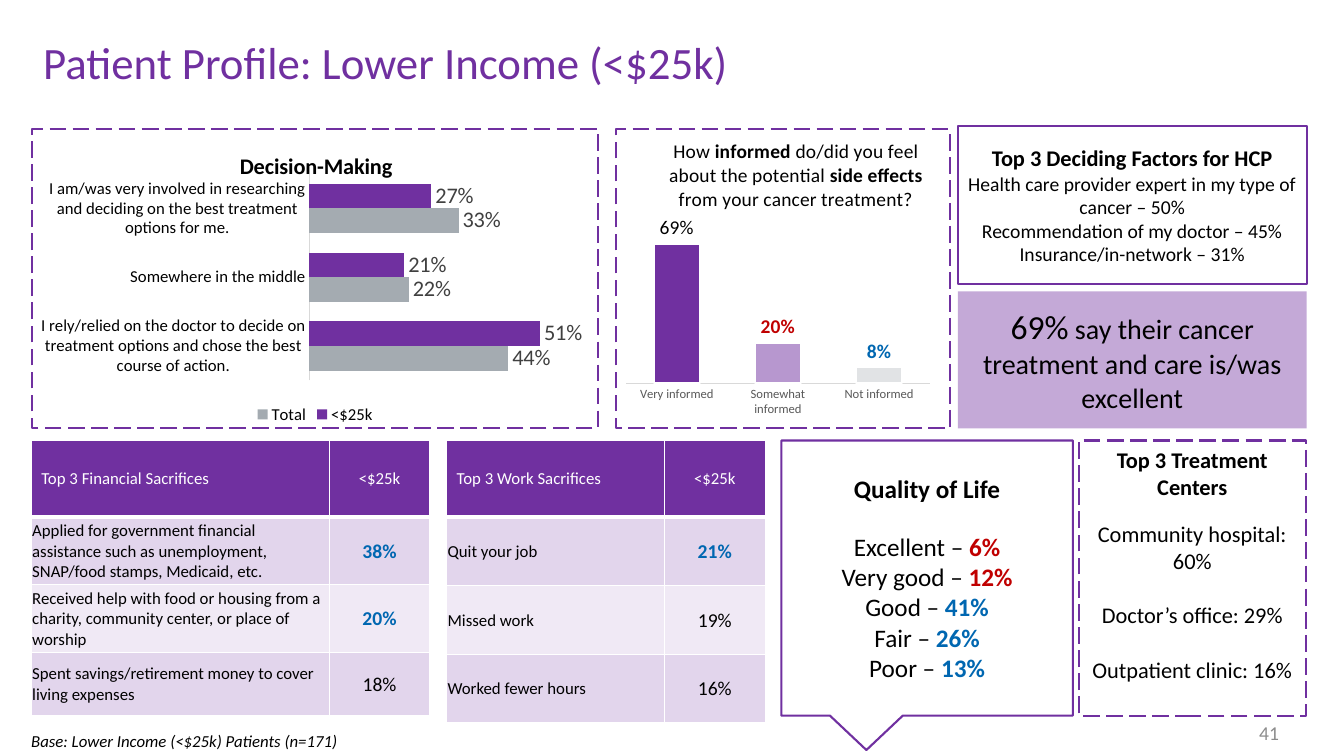
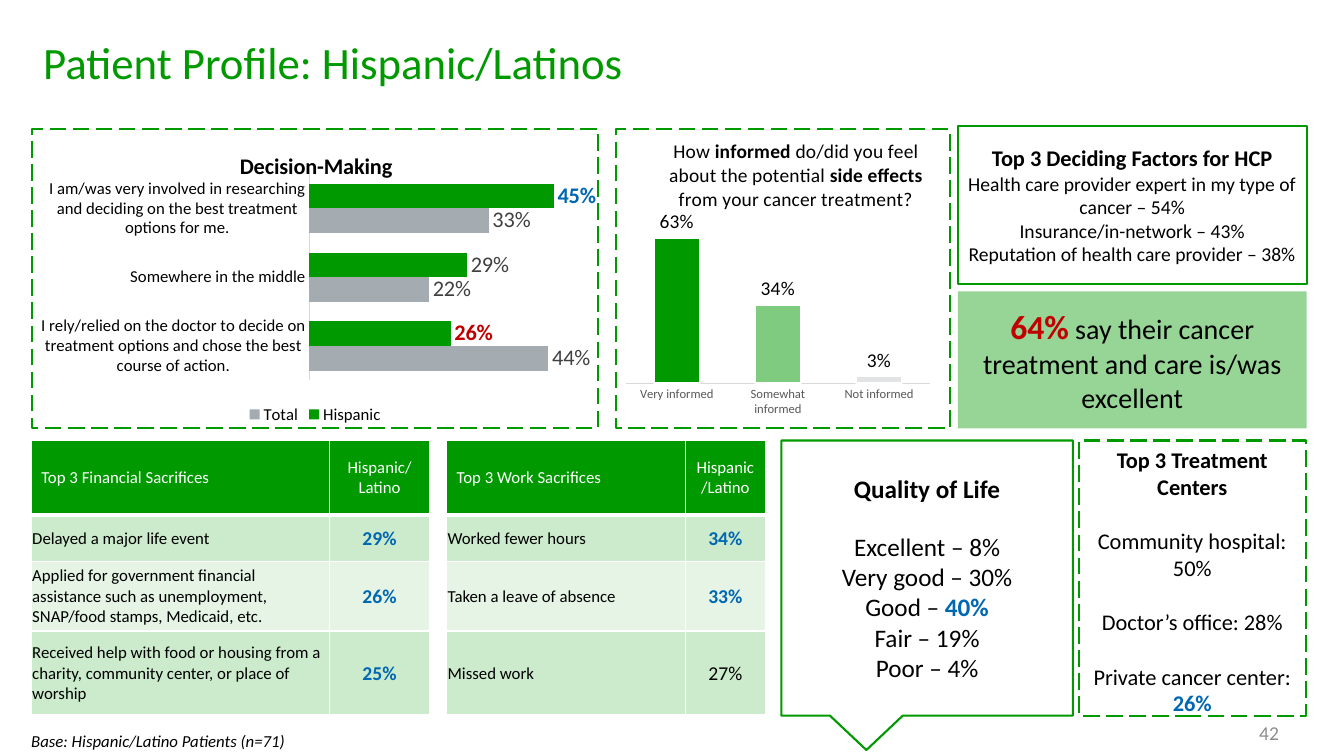
import pptx
import pptx.chart.data
import pptx.dml.color
import pptx.enum.chart
import pptx.enum.dml
import pptx.enum.shapes
import pptx.enum.text
import pptx.oxml
import pptx.oxml.ns
import pptx.util

Inches = pptx.util.Inches
Pt = pptx.util.Pt
qn = pptx.oxml.ns.qn
Align = pptx.enum.text.PP_ALIGN
Anchor = pptx.enum.text.MSO_ANCHOR
Shape = pptx.enum.shapes.MSO_SHAPE
ChartType = pptx.enum.chart.XL_CHART_TYPE

FONT = "Calibri"
BLACK, WHITE, GREY, PALE = "000000", "FFFFFF", "A4ABB1", "E1E3E5"
BLUE, RED = "0067B1", "C00000"
LABEL_GREY, AXIS_GREY, RULE_GREY, NUMBER_GREY = "404040", "595959", "D9D9D9", "8C8C8C"
LINE_GAP = 19.5  # one empty 16 pt line, in points


def rgb(value):
    return pptx.dml.color.RGBColor.from_string(value)


def piece(text, color=None, bold=True, size=None):
    return {"text": text, "color": color, "bold": bold, "size": size}


def higher(text):
    return piece(text, BLUE)


def lower(text):
    return piece(text, RED)


class ProfileDeck:
    def __init__(self):
        self.presentation = pptx.Presentation()
        self.presentation.slide_width = Inches(13.33)
        self.presentation.slide_height = Inches(7.5)
        self.slide = None
        self.accent = BLACK

    def new_slide(self, accent):
        self.slide = self.presentation.slides.add_slide(self.presentation.slide_layouts[6])
        self.accent = accent

    # Shared formatting
    def font(self, font, size, color=BLACK, bold=False, italic=False):
        font.name, font.size = FONT, Pt(size)
        font.bold, font.italic = bold, italic
        font.color.rgb = rgb(color)

    def fill(self, fill, color, opacity=100):
        fill.solid()
        fill.fore_color.rgb = rgb(color)
        if opacity < 100:
            alpha = pptx.oxml.parse_xml(f'<a:alpha {pptx.oxml.ns.nsdecls("a")} val="{opacity * 1000}"/>')
            fill._xPr.find(qn("a:solidFill"))[0].append(alpha)

    def put_runs(self, paragraph, content, size, color=BLACK, bold=False, italic=False, align=Align.CENTER):
        paragraph.alignment = align
        for part in content if isinstance(content, list) else [content]:
            part = part if isinstance(part, dict) else piece(part, bold=bold)
            run = paragraph.add_run()
            run.text = part["text"]
            self.font(run.font, part["size"] or size, part["color"] or color, part["bold"], italic)

    # Text boxes
    def text(self, box, content, size, inset=None, anchor=Anchor.TOP, spacing=None, **style):
        shape = self.slide.shapes.add_textbox(*map(Inches, box))
        frame = shape.text_frame
        frame.word_wrap, frame.vertical_anchor = True, anchor
        if inset is not None:
            frame.margin_left = frame.margin_right = Inches(inset)
            frame.margin_top = frame.margin_bottom = Inches(inset)
        self.put_runs(frame.paragraphs[0], content, size, align=Align.LEFT, **style)
        if spacing:
            frame.paragraphs[0].line_spacing = spacing

    # Framed or filled panels with an optional bold heading
    def panel(self, box, lines, size, heading=None, heading_size=16, gaps=(), kind=Shape.RECTANGLE,
              tint=None, dashed=False):
        shape = self.slide.shapes.add_shape(kind, *map(Inches, box))
        shape.shadow.inherit = False
        if tint:
            self.fill(shape.fill, self.accent, tint)
            shape.line.fill.background()
        else:
            self.fill(shape.fill, WHITE)
            shape.line.color.rgb = rgb(self.accent)
            shape.line.width = Pt(1.5)
        frame = shape.text_frame
        frame.word_wrap, frame.vertical_anchor = True, Anchor.MIDDLE
        if dashed:
            shape.line.dash_style = pptx.enum.dml.MSO_LINE.LONG_DASH
            frame.vertical_anchor = Anchor.TOP
            frame.margin_left = frame.margin_right = Inches(0.03)
            frame.margin_top = Inches(0.06)
        paragraph = frame.paragraphs[0]
        if heading:
            self.put_runs(paragraph, heading, heading_size, bold=True)
        for index, line in enumerate(lines):
            if heading or index:
                paragraph = frame.add_paragraph()
            if index < len(gaps):
                paragraph.space_before = Pt(gaps[index])
            self.put_runs(paragraph, line, size)

    # Tables
    def borders(self, cell, widths):
        properties = cell._tc.get_or_add_tcPr()
        for index, (side, width) in enumerate(zip("LRTB", widths)):
            properties.insert(index, pptx.oxml.parse_xml(
                f'<a:ln{side} {pptx.oxml.ns.nsdecls("a")} w="{Pt(width)}"><a:solidFill>'
                f'<a:srgbClr val="{WHITE}"/></a:solidFill></a:ln{side}>'))

    def table(self, left, widths, heights, rows):
        shape = self.slide.shapes.add_table(len(rows), len(widths), Inches(left), Inches(4.37),
                                            Inches(sum(widths)), Inches(sum(heights)))
        table = shape.table
        table.first_row = table.horz_banding = False
        for column, width in zip(table.columns, widths):
            column.width = Inches(width)
        for row_index, (row, height) in enumerate(zip(rows, heights)):
            table.rows[row_index].height = Inches(height)
            header = row_index == 0
            for column_index, content in enumerate(row):
                cell = table.cell(row_index, column_index)
                cell.vertical_anchor = Anchor.MIDDLE
                if not header:
                    cell.margin_left = cell.margin_right = cell.margin_top = Inches(0.01)
                    cell.margin_bottom = 0
                self.fill(cell.fill, self.accent, 100 if header else 20 if row_index % 2 else 10)
                self.borders(cell, (1, 1, 3 if row_index == 1 else 1, 3 if header else 1))
                self.put_runs(cell.text_frame.paragraphs[0], content,
                              14 if column_index and not header else 12, WHITE if header else BLACK,
                              align=Align.CENTER if column_index else Align.LEFT)

    # Charts
    def layout(self, parent, position, x, y, width=None, height=None):
        for old in parent.findall(qn("c:layout")):
            parent.remove(old)
        target = '<c:layoutTarget val="inner"/>' if width else ""
        size = f'<c:w val="{width}"/><c:h val="{height}"/>' if width else ""
        parent.insert(position, pptx.oxml.parse_xml(
            f'<c:layout {pptx.oxml.ns.nsdecls("c")}><c:manualLayout>{target}<c:xMode val="edge"/>'
            f'<c:yMode val="edge"/><c:x val="{x}"/><c:y val="{y}"/>{size}</c:manualLayout></c:layout>'))

    def chart(self, kind, left, width, categories, series, maximum, gap, title, title_size, title_at,
              plot, axis_size, axis_color):
        data = pptx.chart.data.CategoryChartData(number_format="0%")
        data.categories = categories
        for name, values in series:
            data.add_series(name, values)
        chart = self.slide.shapes.add_chart(kind, Inches(left), Inches(1.27), Inches(width),
                                            Inches(2.99), data).chart
        self.font(chart.font, 10)
        chart.has_legend = False
        chart.has_title = True
        self.put_runs(chart.chart_title.text_frame.paragraphs[0], title, title_size)
        self.layout(chart.chart_title._element, 1, *title_at)
        self.layout(chart._chartSpace.chart.plotArea, 0, *plot)
        chart._chartSpace.chart.addnext(pptx.oxml.parse_xml(
            f'<c:spPr {pptx.oxml.ns.nsdecls("c", "a")}><a:noFill/><a:ln w="{Pt(1.5)}"><a:solidFill>'
            f'<a:srgbClr val="{self.accent}"/></a:solidFill><a:prstDash val="lgDash"/></a:ln></c:spPr>'))
        axis = chart.category_axis
        axis.major_tick_mark = pptx.enum.chart.XL_TICK_MARK.NONE
        axis.format.line.color.rgb = rgb(RULE_GREY)
        axis.format.line.width = Pt(0.75)
        self.font(axis.tick_labels.font, axis_size, axis_color)
        chart.value_axis.visible = chart.value_axis.has_major_gridlines = False
        chart.value_axis.minimum_scale, chart.value_axis.maximum_scale = 0, maximum
        chart.plots[0].gap_width = gap
        chart.plots[0].vary_by_categories = False
        return chart

    def labels(self, series, size, color, marks):
        position = pptx.enum.chart.XL_LABEL_POSITION.OUTSIDE_END
        labels = series.data_labels
        labels.show_value, labels.position = True, position
        labels.number_format, labels.number_format_is_linked = "0%", False
        self.font(labels.font, size, color)
        for index, mark in marks.items():
            label = series.points[index].data_label
            self.font(label.font, size, mark, True)
            label.position = position

    def decision_chart(self, group, values, maximum, marks):
        categories = ["I am/was very involved in researching and deciding on the best treatment options for me.",
                      "Somewhere in the middle",
                      "I rely/relied on the doctor to decide on treatment options and chose the best course of action."]
        chart = self.chart(ChartType.BAR_CLUSTERED, 0.31, 5.63, categories,
                           [(group, values), ("Total", (0.33, 0.22, 0.44))], maximum, 80,
                           piece("Decision-Making"), 16, (0.36, 0.06), (0.49, 0.15, 0.48, 0.69), 12, BLACK)
        chart.category_axis.reverse_order = True
        chart.has_legend = True
        chart.legend.position = pptx.enum.chart.XL_LEGEND_POSITION.BOTTOM
        chart.legend.include_in_layout = False
        self.font(chart.legend.font, 12)
        for series, color, series_marks in zip(chart.plots[0].series, (self.accent, GREY), (marks, {})):
            self.fill(series.format.fill, color)
            self.labels(series, 16, LABEL_GREY, series_marks)

    def informed_chart(self, values, maximum, marks):
        title = ["How ", piece("informed"), " do/did you feel about the potential ",
                 piece("side effects"), " from your cancer treatment?"]
        chart = self.chart(ChartType.COLUMN_CLUSTERED, 6.1, 3.33,
                           ["Very informed", "Somewhat informed", "Not informed"], [("Series 1", values)],
                           maximum, 120, title, 14, (0.15, 0.02), (0.03, 0.31, 0.91, 0.54), 9, AXIS_GREY)
        chart.plots[0].overlap = -25
        series = chart.plots[0].series[0]
        for index, (color, opacity) in enumerate([(self.accent, 100), (self.accent, 50), (PALE, 100)]):
            point = series.points[index].format
            self.fill(point.fill, color, opacity)
            point.line.color.rgb = rgb(WHITE)
            point.line.width = Pt(1.5)
        self.labels(series, 14, BLACK, marks)

    # One patient profile
    def profile(self, accent, number, title, base, decision, informed, factors, rating,
                financial, work, quality, centers, center_gaps):
        self.new_slide(accent)
        self.text((0.33, 0.22, 11.21, 0.85), "Patient Profile: " + title, 32, color=accent,
                  anchor=Anchor.MIDDLE, spacing=0.9)
        self.decision_chart(*decision)
        self.informed_chart(*informed)
        self.panel((9.5, 1.25, 3.46, 1.57), factors, 14, "Top 3 Deciding Factors for HCP")
        self.panel((9.5, 2.89, 3.46, 1.36),
                   [[rating, " say their cancer treatment and care is/was excellent"]], 20, tint=41)
        self.table(0.31, *financial)
        self.table(4.43, *work)
        levels = ["Excellent", "Very good", "Good", "Fair", "Poor"]
        self.panel((7.75, 4.37, 2.89, 2.73), [[level + " – ", share] for level, share in zip(levels, quality)],
                   18, "Quality of Life", 18, (LINE_GAP,), Shape.RECTANGULAR_CALLOUT)
        self.panel((10.7, 4.37, 2.25, 2.73), centers, 16, "Top 3 Treatment Centers", gaps=center_gaps, dashed=True)
        self.text((0.31, 7.25, 3.06, 0.2), f"Base: {base}", 12, inset=0, italic=True)
        self.text((12.39, 7.1, 0.63, 0.14), number, 14, color=NUMBER_GREY)


def main():
    deck = ProfileDeck()
    government = "Applied for government financial assistance such as unemployment, SNAP/food stamps, Medicaid, etc."
    charity = "Received help with food or housing from a charity, community center, or place of worship"
    expert = "Health care provider expert in my type of cancer – "

    deck.profile(
        "7030A0", "41", "Lower Income (<$25k)", "Lower Income (<$25k) Patients (n=171)",
        decision=("<$25k", (0.27, 0.21, 0.51), 0.6, {}),
        informed=((0.69, 0.2, 0.08), 0.8, {1: RED, 2: BLUE}),
        factors=[expert + "50%", "Recommendation of my doctor – 45%", "Insurance/in-network – 31%"],
        rating=piece("69%", bold=False, size=24),
        financial=((2.96, 0.99), (0.76, 0.67, 0.67, 0.63), [
            ("Top 3 Financial Sacrifices", "<$25k"), (government, higher("38%")), (charity, higher("20%")),
            ("Spent savings/retirement money to cover living expenses", "18%")]),
        work=((2.16, 1), (0.76, 0.68, 0.68, 0.68), [
            ("Top 3 Work Sacrifices", "<$25k"), ("Quit your job", higher("21%")),
            ("Missed work", "19%"), ("Worked fewer hours", "16%")]),
        quality=[lower("6%"), lower("12%"), higher("41%"), higher("26%"), higher("13%")],
        centers=["Community hospital: 60%", "Doctor’s office: 29%", "Outpatient clinic: 16%"],
        center_gaps=(14.5, LINE_GAP, LINE_GAP))

    row_heights = (0.74, 0.46, 0.69, 0.83)
    deck.profile(
        "009900", "42", "Hispanic/Latinos", "Hispanic/Latino Patients (n=71)",
        decision=("Hispanic", (0.45, 0.29, 0.26), 0.5, {0: BLUE, 2: RED}),
        informed=((0.63, 0.34, 0.03), 0.7, {}),
        factors=[expert + "54%", "Insurance/in-network – 43%", "Reputation of health care provider – 38%"],
        rating=piece("64%", RED, size=24),
        financial=((2.96, 0.99), row_heights, [
            ("Top 3 Financial Sacrifices", "Hispanic/Latino"), ("Delayed a major life event", higher("29%")),
            (government, higher("26%")), (charity, higher("25%"))]),
        work=((2.37, 0.79), row_heights, [
            ("Top 3 Work Sacrifices", "Hispanic/Latino"), ("Worked fewer hours", higher("34%")),
            ("Taken a leave of absence", higher("33%")), ("Missed work", "27%")]),
        quality=["8%", "30%", higher("40%"), "19%", "4%"],
        centers=["Community hospital: 50%", "Doctor’s office: 28%", ["Private cancer center: ", higher("26%")]],
        center_gaps=(LINE_GAP,) * 3)
    deck.presentation.save("out.pptx")


if __name__ == "__main__":
    main()
